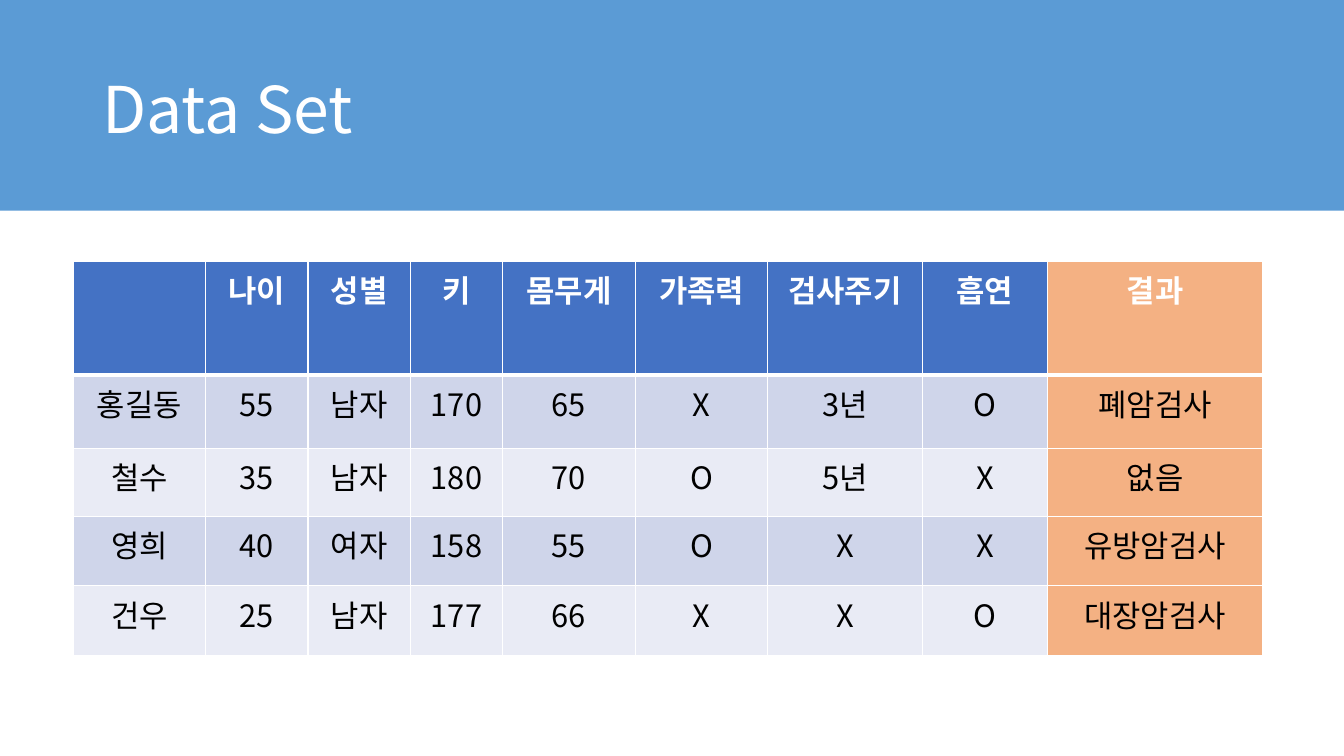
from dataclasses import dataclass

import lxml.etree
import pptx
import pptx.dml.color
import pptx.enum.shapes
import pptx.enum.text
import pptx.oxml.ns
import pptx.util

Cm = pptx.util.Cm
Pt = pptx.util.Pt
qn = pptx.oxml.ns.qn


@dataclass(frozen=True)
class Theme:
    """Colours, font and type sizes of the slide."""
    font: str = "Noto Sans CJK KR"
    banner: str = "5B9BD5"
    header: str = "4472C4"
    bands: tuple = ("CFD5EA", "E9EBF5")
    result: str = "F4B183"
    light: str = "FFFFFF"
    dark: str = "000000"
    title_size: int = 46
    table_size: int = 22
    thin: int = 1
    thick: int = 3


THEME = Theme()

PATIENTS = [
    ["", "나이", "성별", "키", "몸무게", "가족력", "검사주기", "흡연", "결과"],
    ["홍길동", "55", "남자", "170", "65", "X", "3년", "O", "폐암검사"],
    ["철수", "35", "남자", "180", "70", "O", "5년", "X", "없음"],
    ["영희", "40", "여자", "158", "55", "O", "X", "X", "유방암검사"],
    ["건우", "25", "남자", "177", "66", "X", "X", "O", "대장암검사"],
]
COLUMN_WIDTHS = [3.34, 2.58, 2.58, 2.33, 3.34, 3.34, 3.89, 3.16, 5.42]
ROW_HEIGHTS = [2.87, 1.85, 1.71, 1.75, 1.75]


def rgb(value):
    """Return a colour from its hexadecimal text."""
    return pptx.dml.color.RGBColor.from_string(value)


def paint(target, colour):
    """Give a shape or cell a solid fill."""
    target.fill.solid()
    target.fill.fore_color.rgb = rgb(colour)


def style_para(para, size, colour, bold=False):
    """Format every run of a paragraph, for Latin and Korean text."""
    for span in para.runs:
        span.font.size = Pt(size)
        span.font.bold = bold
        span.font.color.rgb = rgb(colour)
        span.font.name = THEME.font
        properties = span.font._element
        lxml.etree.SubElement(properties, qn("a:ea"), typeface=THEME.font)


def add_banner(page, width):
    """Draw the coloured band across the top."""
    banner = page.shapes.add_shape(
        pptx.enum.shapes.MSO_SHAPE.RECTANGLE, 0, 0, width, Cm(5.31))
    banner.shadow.inherit = False
    banner.line.fill.background()
    paint(banner, THEME.banner)


def add_title(page, text):
    """Write the slide title on the band."""
    box = page.shapes.add_textbox(Cm(2.33), Cm(1.01), Cm(29.21), Cm(3.68))
    frame = box.text_frame
    frame.word_wrap = True
    frame.vertical_anchor = pptx.enum.text.MSO_ANCHOR.MIDDLE
    frame.text = text
    para = frame.paragraphs[0]
    para.line_spacing = 0.9
    style_para(para, THEME.title_size, THEME.light)


def add_borders(cell, top, bottom):
    """Draw the four white borders of a cell."""
    properties = cell._tc.get_or_add_tcPr()
    widths = {"L": THEME.thin, "R": THEME.thin, "T": top, "B": bottom}
    for side, width in widths.items():
        line = lxml.etree.SubElement(
            properties, qn(f"a:ln{side}"), w=str(Pt(width)))
        fill = lxml.etree.SubElement(line, qn("a:solidFill"))
        lxml.etree.SubElement(fill, qn("a:srgbClr"), val=THEME.light)


def fill_cell(cell, text, row, is_result):
    """Set the text, borders and fill of one table cell."""
    is_header = row == 0
    cell.margin_left = cell.margin_right = Cm(0.3)
    cell.margin_top = cell.margin_bottom = Cm(0.15)
    add_borders(cell,
                THEME.thick if row == 1 else THEME.thin,
                THEME.thick if is_header else THEME.thin)
    base = THEME.header if is_header else THEME.bands[(row - 1) % 2]
    paint(cell, THEME.result if is_result else base)
    cell.text_frame.text = text
    para = cell.text_frame.paragraphs[0]
    para.alignment = pptx.enum.text.PP_ALIGN.CENTER
    style_para(para, THEME.table_size,
               THEME.light if is_header else THEME.dark, is_header)


def add_patient_table(page):
    """Build the patient table with its result column."""
    table = page.shapes.add_table(
        len(ROW_HEIGHTS), len(COLUMN_WIDTHS), Cm(1.84), Cm(6.58),
        Cm(sum(COLUMN_WIDTHS)), Cm(sum(ROW_HEIGHTS))).table
    for column, width in zip(table.columns, COLUMN_WIDTHS):
        column.width = Cm(width)
    for row, height in zip(table.rows, ROW_HEIGHTS):
        row.height = Cm(height)
    last = len(COLUMN_WIDTHS) - 1
    for row, values in enumerate(PATIENTS):
        for column, text in enumerate(values):
            fill_cell(table.cell(row, column), text, row, column == last)


def main():
    """Build and save the slide."""
    deck = pptx.Presentation()
    deck.slide_width = Cm(33.87)
    deck.slide_height = Cm(19.05)
    page = deck.slides.add_slide(deck.slide_layouts[6])
    add_banner(page, deck.slide_width)
    add_title(page, "Data Set")
    add_patient_table(page)
    deck.save("out.pptx")


if __name__ == "__main__":
    main()
